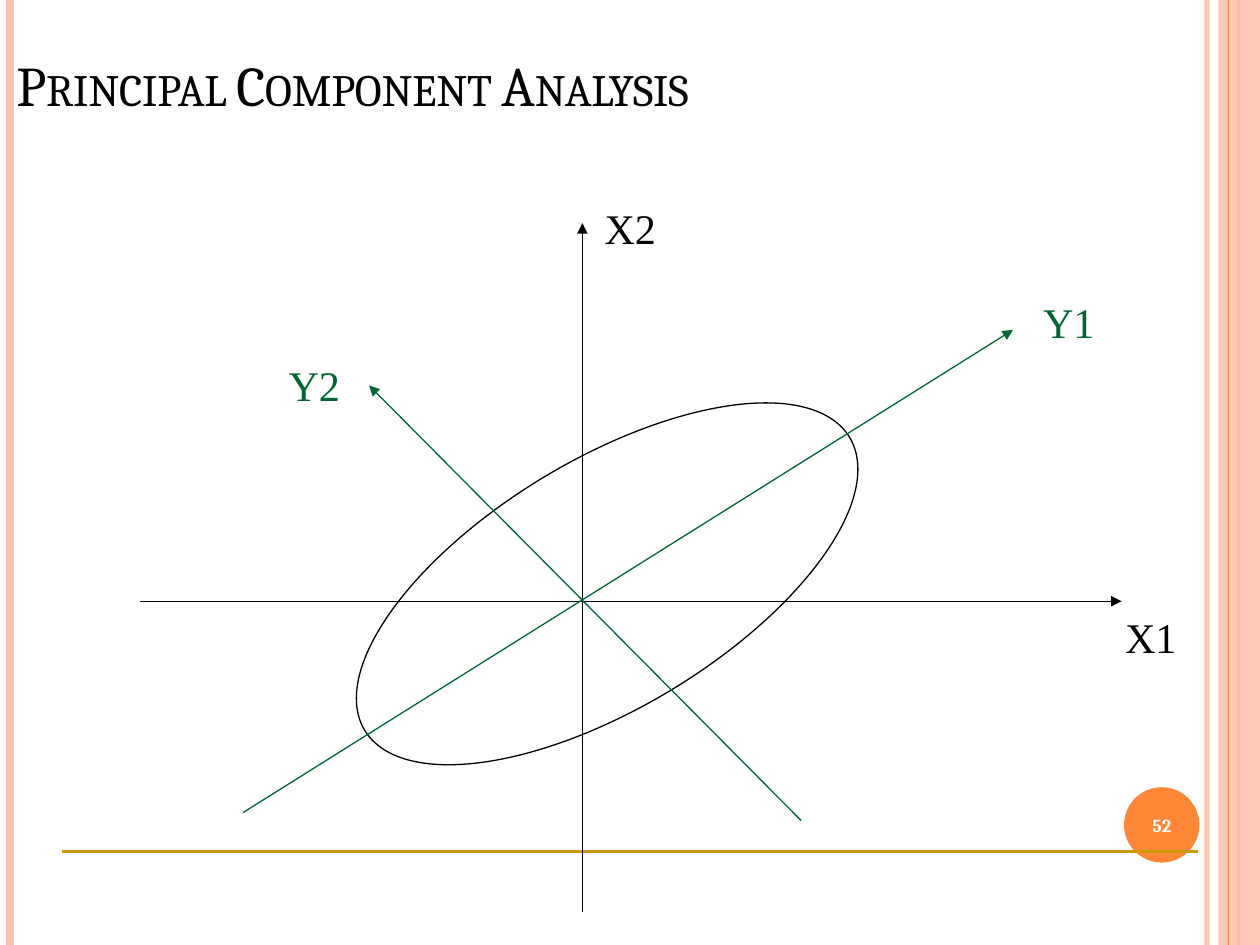
from pptx import Presentation
from pptx.dml.color import RGBColor
from pptx.enum.shapes import MSO_CONNECTOR as CONN, MSO_SHAPE as SHAPE
from pptx.enum.text import MSO_ANCHOR as ANCHOR, PP_ALIGN as ALIGN
from pptx.oxml.ns import qn
from pptx.util import Cm, Pt
from lxml.etree import SubElement

BLACK, GREEN, PEACH, ORANGE, GOLD = "010101", "006533", "FEC3AE", "FE8637", "CC9901"


def rgb(hex_):
    return RGBColor.from_string(hex_)


def set_attrs(obj, **values):
    for name, value in values.items():
        setattr(obj, name, value)


def set_alpha(fill, percent):
    clr = fill._xPr.find(qn("a:solidFill"))[0]
    SubElement(clr, qn("a:alpha")).set("val", str(percent * 1000))


def add_line(s, start, end, color, width, alpha=None, arrow=False):
    ln = s.shapes.add_connector(CONN.STRAIGHT, *map(Cm, start + end))
    ln.line.color.rgb = rgb(color)
    ln.line.width = Pt(width)
    SubElement(ln._element.spPr, qn("a:effectLst"))
    if alpha:
        set_alpha(ln.line.fill, alpha)
    if arrow:
        SubElement(ln.line._get_or_add_ln(), qn("a:tailEnd")).set("type", "triangle")


def add_shape(s, kind, box, fill=None, line=None):
    sp = s.shapes.add_shape(kind, *map(Cm, box))
    sp.shadow.inherit = False
    if fill:
        sp.fill.solid()
        sp.fill.fore_color.rgb = rgb(fill)
    else:
        sp.fill.background()
    if line:
        sp.line.color.rgb = rgb(line)
        sp.line.width = Pt(0.75)
    else:
        sp.line.fill.background()
    return sp


def set_text(sp, text, color, font, align=ALIGN.LEFT, anchor=ANCHOR.TOP, spacing=None):
    tf = sp.text_frame
    set_attrs(tf, word_wrap=True, vertical_anchor=anchor, margin_left=0,
              margin_right=0, margin_top=Cm(0.03), margin_bottom=0)
    p = tf.paragraphs[0]
    set_attrs(p, alignment=align, space_before=Pt(1))
    r = p.add_run()
    r.text = text
    set_attrs(r.font, **font)
    r.font.color.rgb = rgb(color)
    if spacing:
        r.font._element.set("spc", str(spacing))
    return r


def add_frame(s, width, height):
    add_line(s, (24.33, 0), (24.33, height), PEACH, 3, alpha=93)
    add_line(s, (0.2, 0), (0.2, height), PEACH, 4.5)
    add_line(s, (24.97, 0), (24.97, height), ORANGE, 1.5)
    band = add_shape(s, SHAPE.RECTANGLE, (24.56, 0, width - 24.56, height), PEACH)
    set_alpha(band.fill, 87)
    add_line(s, (24.77, 0), (24.77, height), ORANGE, 0.75)


def add_footer(s, left, top, width, number):
    size = 1.52
    badge = add_shape(s, SHAPE.OVAL, (left + width - size + 0.02, top - 1.3, size, size), ORANGE)
    set_text(badge, number, "FFFFFF", {"name": "Cambria", "size": Pt(10.5), "bold": True},
             ALIGN.CENTER, ANCHOR.MIDDLE)
    add_line(s, (left, top), (left + width, top), GOLD, 1.5)


def add_title(s, left, top, width, height, text):
    sp = s.shapes.title
    set_attrs(sp, left=Cm(left), top=Cm(top), width=Cm(width), height=Cm(height))
    font = {"name": "Cambria", "size": Pt(32)}
    r = set_text(sp, text, "000000", font, anchor=ANCHOR.BOTTOM, spacing=-10)
    r.font._element.set("cap", "small")


def add_plot(s, left, top):
    def at(x, y):
        return left + x, top + y

    axes = [
        ("X1", (0, 7.62), (19.79, 7.62), (19.86, 7.79), BLACK),
        ("X2", (8.92, 13.89), (8.92, 0), (9.37, -0.46), BLACK),
        ("Y1", (2.08, 11.88), (17.6, 2.15), (18.21, 1.44), GREEN),
        ("Y2", (13.33, 12.04), (4.62, 3.27), (3, 2.71), GREEN),
    ]
    w, h = 11.42, 5
    cloud = add_shape(s, SHAPE.OVAL, (*at(9.42 - w / 2, 7.27 - h / 2), w, h), line=BLACK)
    cloud.rotation = -31.15
    font = {"name": "Times New Roman", "size": Pt(24.1)}
    for name, start, end, label, color in axes:
        add_line(s, at(*start), at(*end), color, 0.75, arrow=True)
        tb = s.shapes.add_textbox(*map(Cm, (*at(*label), 1.12, 2.11)))
        set_text(tb, name, color, font, spacing=-10)


def main():
    width, height = 25.4, 19.05
    prs = Presentation()
    set_attrs(prs, slide_width=Cm(width), slide_height=Cm(height))
    s = prs.slides.add_slide(prs.slide_layouts[5])
    add_frame(s, width, height)
    add_footer(s, 1.24, 17.17, 22.92, "52")
    add_plot(s, 2.82, 4.5)
    add_title(s, 0.33, 0.97, 19.38, 1.4, "Principal Component Analysis")
    prs.save("out.pptx")


if __name__ == "__main__":
    main()
